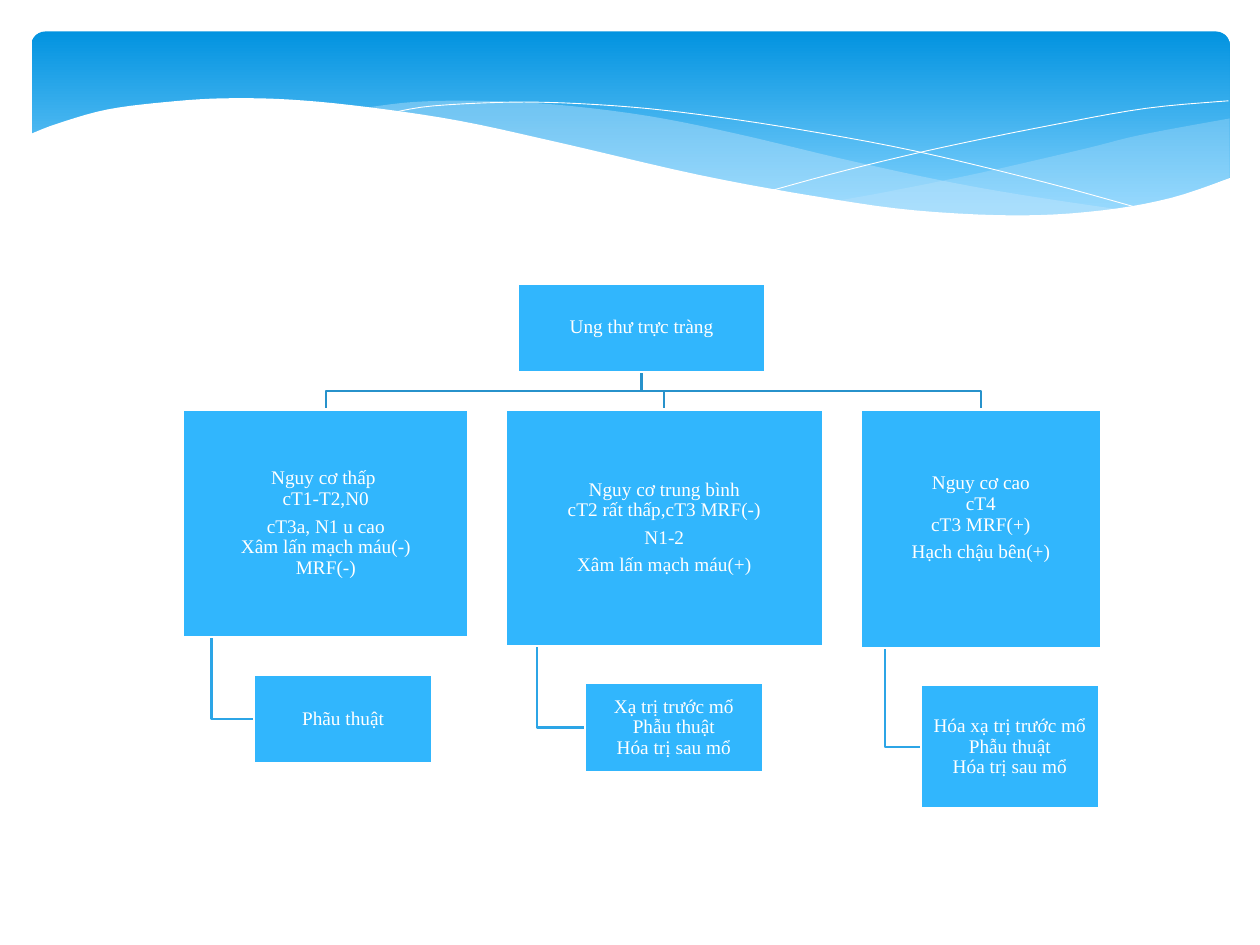
from copy import deepcopy

from lxml import etree
from pptx import Presentation
from pptx import util as u
from pptx.dml.color import RGBColor
from pptx.enum import shapes, text
from pptx.oxml.ns import qn

WHITE, BOX_BLUE = "FFFFFF", "31B6FD"
TOP_LINK, SIDE_LINK = "2792CB", "2CA5E6"
WAVE_TINT = "C6E7FC"

# Wave knots in points
RIGHT_WAVE_TOP = [(702.7, 67.7), (652.3, 77), (620, 85), (561, 98.6), (508, 109.4), (476, 115.2)]
RIGHT_WAVE_BASE = [(476, 115.2), (507.6, 118.8), (545, 122.4), (578, 123.8), (615, 122.4),
                   (646, 118.8), (673, 112.3), (702.7, 101.5)]
MIDDLE_WAVE_TOP = [(206, 62), (236, 58.3), (273.6, 57.6), (318, 59.8), (370, 66.2),
                   (420.5, 76.3), (481, 90.7), (533.5, 102.2), (581, 110.9), (643, 120.2)]
MIDDLE_WAVE_BASE = [(643, 120.2), (617, 123.1), (581, 124.6), (538.6, 122.4), (489.6, 117.4),
                    (432.7, 108), (381.6, 97.2), (323.3, 83.5), (275.8, 72.7), (246, 67.7), (206, 62)]
FALLING_LINE = [(222.5, 64.8), (247.7, 60.5), (299.5, 58.3), (352, 60.5), (400, 65.5),
                (458, 74.2), (523.4, 86.4), (598, 104.4), (653, 119.5)]
RISING_LINE = [(441.4, 108.7), (483.8, 97.2), (538.6, 84.2), (602, 71.3), (655, 61.9), (702, 57.6)]
WHITE_WAVE = [(703.4, 101.5), (669.6, 113), (630, 120.2), (582.5, 123.1), (522.7, 120.2),
              (466.6, 112.3), (399.6, 100), (321.8, 82), (262.8, 69.1), (210, 61.2),
              (165.6, 56.9), (127.4, 56.2), (95, 58.3), (61.2, 62.6), (33, 70.6), (16.5, 77)]

ROOT = (295.7, 162, 141.8, 50.5)
RISK_TOP = 234
LEVEL_GAP = 21.3
TREATMENT_WIDTH = 101.5
# left, width, height, bottom inset, paragraphs; treatment left, height, text
RISKS = [
    (104.6, 163.2, 130.2, 0.7,
     ["Nguy cơ thấp \ncT1-T2,N0", "cT3a, N1 u cao\nXâm lấn mạch máu(-)\nMRF(-)"],
     145.3, 50.5, "Phãu thuật"),
    (288.9, 181.4, 135.2, 0.7,
     ["Nguy cơ trung bình\ncT2 rất thấp,cT3 MRF(-)", "N1-2", "Xâm lấn mạch máu(+)"],
     334.3, 50.5, "Xạ trị trước mổ\nPhẫu thuật\nHóa trị sau mổ"),
    (491.9, 137.3, 136.3, 13.2,
     ["Nguy cơ cao\ncT4\ncT3 MRF(+)", "Hạch chậu bên(+)"],
     526.3, 70.2, "Hóa xạ trị trước mổ\nPhẫu thuật\nHóa trị sau mổ"),
]


def color(hex_string):
    return RGBColor.from_string(hex_string)


def smooth(knots, steps=5):
    """Return points of a Catmull-Rom curve through the knots."""
    padded = [knots[0], *knots, knots[-1]]
    points = [knots[0]]
    for a, b, c, d in zip(padded, padded[1:], padded[2:], padded[3:]):
        for step in range(1, steps + 1):
            t = step / steps
            points.append(tuple(
                (2 * q + (r - p) * t + (2 * p - 5 * q + 4 * r - s) * t ** 2
                 + (3 * q - p - 3 * r + s) * t ** 3) / 2
                for p, q, r, s in zip(a, b, c, d)))
    return points


class SlideBuilder:
    font_name = "Times New Roman"
    font_size = 11
    line_width = 1.25

    def __init__(self, slide):
        self.slide = slide

    def outline(self, points, closed):
        points = [(u.Pt(x), u.Pt(y)) for x, y in points]
        builder = self.slide.shapes.build_freeform(*points[0], scale=1.0)
        builder.add_line_segments(points[1:], close=closed)
        shape = builder.convert_to_shape()
        shape.shadow.inherit = False
        return shape

    def area(self, points, fill, opacity=100):
        shape = self.outline(points, True)
        shape.fill.solid()
        shape.fill.fore_color.rgb = color(fill)
        shape.line.fill.background()
        if opacity < 100:
            rgb = shape.fill._xPr.find(qn("a:solidFill"))[0]
            etree.SubElement(rgb, qn("a:alpha")).set("val", str(opacity * 1000))

    def path_line(self, points, line, width=line_width):
        shape = self.outline(points, False)
        shape.fill.background()
        shape.line.color.rgb = color(line)
        shape.line.width = u.Pt(width)

    def preset(self, kind, bounds):
        shape = self.slide.shapes.add_shape(kind, *map(u.Pt, bounds))
        shape.shadow.inherit = False
        return shape

    def banner(self, bounds, start, end):
        shape = self.preset(shapes.MSO_SHAPE.ROUNDED_RECTANGLE, bounds)
        shape.adjustments[0] = 0.07
        shape.fill.gradient()
        shape.fill.gradient_angle = 270
        for stop, shade, position in zip(shape.fill.gradient_stops, (start, end), (0, 0.9)):
            stop.color.rgb = color(shade)
            stop.position = position
        shape.line.fill.background()

    def box(self, bounds, paragraphs, bottom_inset=0.7):
        shape = self.preset(shapes.MSO_SHAPE.RECTANGLE, bounds)
        shape.fill.solid()
        shape.fill.fore_color.rgb = color(BOX_BLUE)
        shape.line.color.rgb = color(WHITE)
        shape.line.width = u.Pt(self.line_width)
        frame = shape.text_frame
        frame.word_wrap = True
        frame.vertical_anchor = text.MSO_ANCHOR.MIDDLE
        frame.margin_left = frame.margin_right = frame.margin_top = u.Pt(0.7)
        frame.margin_bottom = u.Pt(bottom_inset)
        for index, words in enumerate(paragraphs):
            paragraph = frame.add_paragraph() if index else frame.paragraphs[0]
            paragraph.text = words
            paragraph.alignment = text.PP_ALIGN.CENTER
            paragraph.line_spacing = 0.9
            if index:
                paragraph.space_before = u.Pt(0.35 * self.font_size)
            self.format_runs(paragraph)

    def format_runs(self, paragraph):
        """Style the runs and give line breaks the same properties."""
        for run in paragraph.runs:
            run.font.name = self.font_name
            run.font.size = u.Pt(self.font_size)
            run.font.color.rgb = color(WHITE)
        for line_break in paragraph._p.findall(qn("a:br")):
            line_break.append(deepcopy(paragraph.runs[0]._r.rPr))


def draw_banner(builder):
    builder.banner((18, 18, 684.7, 112.3), "0293E0", "83D3FE")
    builder.area(smooth(RIGHT_WAVE_TOP) + smooth(RIGHT_WAVE_BASE), WAVE_TINT, 29)
    builder.area(smooth(MIDDLE_WAVE_TOP) + smooth(MIDDLE_WAVE_BASE), WAVE_TINT, 40)
    for knots in (FALLING_LINE, RISING_LINE):
        builder.path_line(smooth(knots), WHITE, 0.5)
    builder.area(smooth(WHITE_WAVE) + [(16.5, 161), (703.4, 161)], WHITE)


def draw_tree(builder):
    root_left, root_top, root_width, root_height = ROOT
    root_middle = root_left + root_width / 2
    root_bottom = root_top + root_height
    branch_y = (root_bottom + RISK_TOP) / 2
    for left, width, height, _, _, treatment_left, treatment_height, _ in RISKS:
        middle, trunk = left + width / 2, left + width / 10
        bottom = RISK_TOP + height
        treatment_y = bottom + LEVEL_GAP + treatment_height / 2
        builder.path_line([(root_middle, root_bottom), (root_middle, branch_y),
                           (middle, branch_y), (middle, RISK_TOP)], TOP_LINK)
        builder.path_line([(trunk, bottom), (trunk, treatment_y),
                           (treatment_left, treatment_y)], SIDE_LINK)

    builder.box(ROOT, ["Ung thư trực tràng"])
    for left, width, height, inset, risk, treatment_left, treatment_height, treatment in RISKS:
        builder.box((left, RISK_TOP, width, height), risk, inset)
        builder.box((treatment_left, RISK_TOP + height + LEVEL_GAP,
                     TREATMENT_WIDTH, treatment_height), [treatment])


def main():
    presentation = Presentation()
    presentation.slide_width, presentation.slide_height = u.Pt(720), u.Pt(540)
    builder = SlideBuilder(presentation.slides.add_slide(presentation.slide_layouts[6]))
    draw_banner(builder)
    draw_tree(builder)
    presentation.save("out.pptx")


if __name__ == "__main__":
    main()
